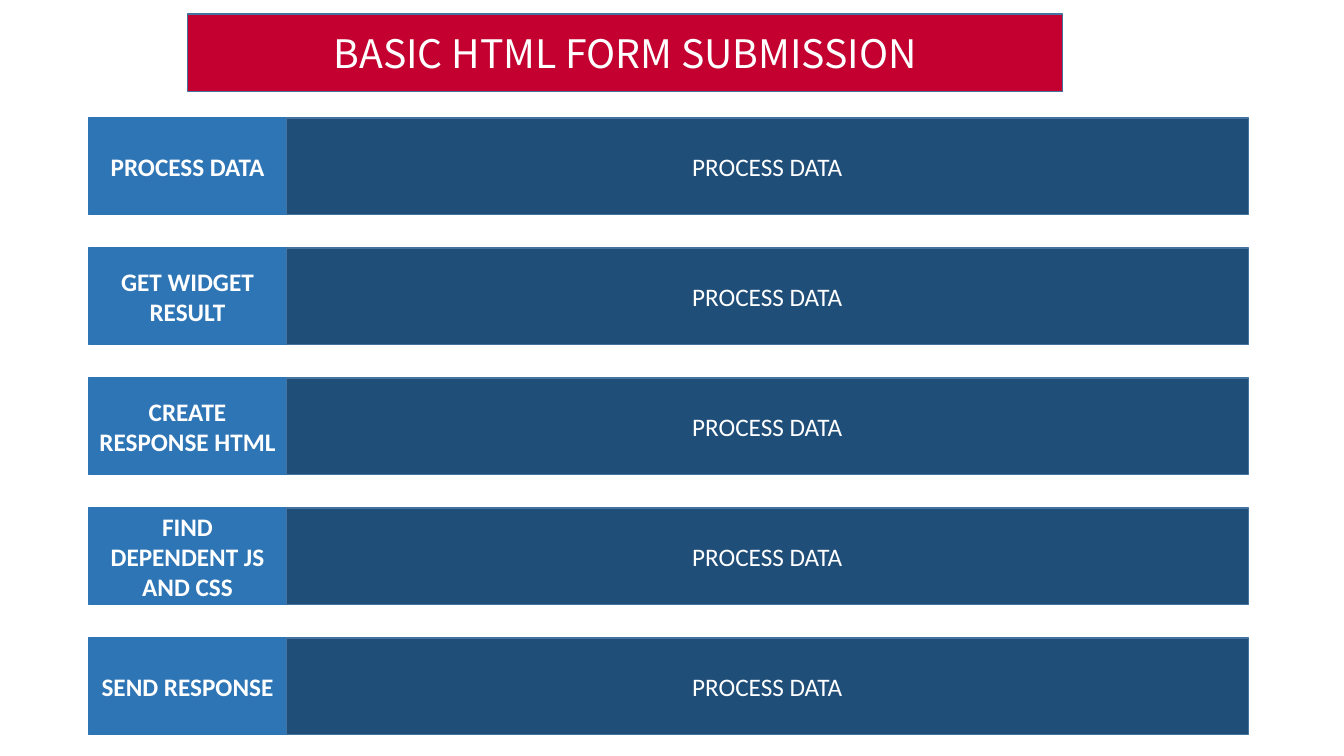
import pptx
import pptx.util
import pptx.dml.color
import pptx.enum.shapes
import pptx.enum.text

RED = pptx.dml.color.RGBColor(0xC3, 0x00, 0x2F)
BLUE = pptx.dml.color.RGBColor(0x2E, 0x75, 0xB6)
NAVY = pptx.dml.color.RGBColor(0x1F, 0x4E, 0x79)
EDGE = pptx.dml.color.RGBColor(0x43, 0x73, 0x9E)
WHITE = pptx.dml.color.RGBColor(0xFF, 0xFF, 0xFF)

# Grid of steps, in inches
LEFT, TOP = 0.88, 1.17
STEP_WIDTH, DETAIL_WIDTH = 1.96, 9.54
ROW_HEIGHT, ROW_PITCH = 0.96, 1.29

deck = pptx.Presentation()
deck.slide_width = pptx.util.Inches(13.33)
deck.slide_height = pptx.util.Inches(7.5)
slide = deck.slides.add_slide(deck.slide_layouts[6])


def add_box(text, left, top, width, height, fill, edge, size=18, font="Calibri", bold=False):
    box = slide.shapes.add_shape(
        pptx.enum.shapes.MSO_SHAPE.FLOWCHART_PROCESS,
        *(pptx.util.Inches(length) for length in (left, top, width, height)))
    box.shadow.inherit = False
    box.fill.solid()
    box.fill.fore_color.rgb = fill
    box.line.color.rgb = edge
    box.line.width = pptx.util.Pt(1)
    frame = box.text_frame
    frame.word_wrap = True
    frame.vertical_anchor = pptx.enum.text.MSO_ANCHOR.MIDDLE
    frame.text = text
    paragraph = frame.paragraphs[0]
    paragraph.alignment = pptx.enum.text.PP_ALIGN.CENTER
    run_font = paragraph.runs[0].font
    run_font.name = font
    run_font.size = pptx.util.Pt(size)
    run_font.bold = bold
    run_font.color.rgb = WHITE


# Title banner
add_box("BASIC HTML FORM SUBMISSION", 1.86, 0.14, 8.68, 0.77, RED, EDGE,
        size=28, font="Noto Sans CJK SC")

# Submission steps, each with its detail bar
steps = [
    ("PROCESS DATA", "PROCESS DATA"),
    ("GET WIDGET RESULT", "PROCESS DATA"),
    ("CREATE RESPONSE HTML", "PROCESS DATA"),
    ("FIND DEPENDENT JS AND CSS", "PROCESS DATA"),
    ("SEND RESPONSE", "PROCESS DATA"),
]
for row, (step, detail) in enumerate(steps):
    top = TOP + row * ROW_PITCH
    add_box(step, LEFT, top, STEP_WIDTH, ROW_HEIGHT, BLUE, BLUE, bold=True)
    add_box(detail, LEFT + STEP_WIDTH, top, DETAIL_WIDTH, ROW_HEIGHT, NAVY, EDGE)

deck.save("out.pptx")
